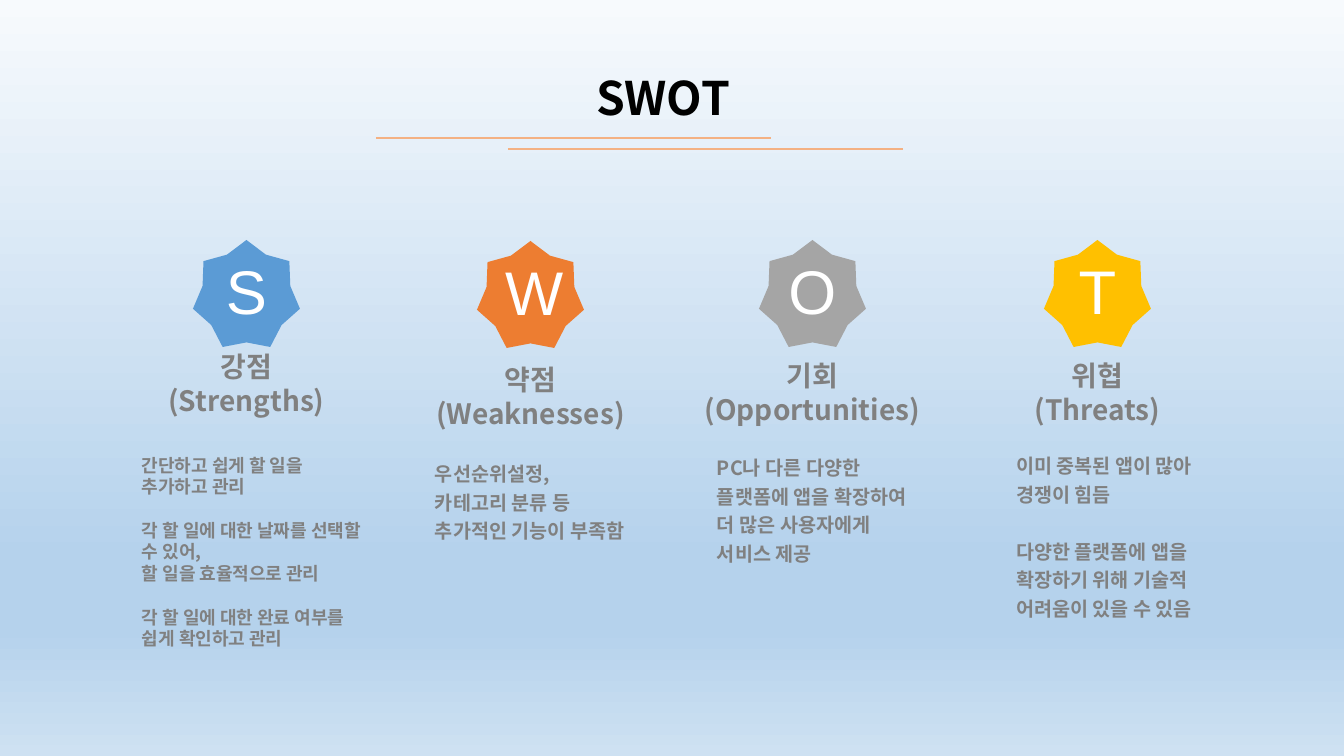
from lxml.etree import SubElement
from pptx import Presentation
from pptx.dml.color import RGBColor
from pptx.enum.shapes import MSO_CONNECTOR, MSO_SHAPE
from pptx.enum.text import MSO_ANCHOR, PP_ALIGN
from pptx.oxml.ns import qn
from pptx.util import Emu, Pt

KOREAN = "Noto Sans CJK KR"
GREY = "808080"
BACKGROUND = [(0, "F7FAFD"), (74, "B5D2EC"), (83, "B5D2EC"), (100, "CEE1F2")]
RULES = [(376, 138), (508, 149)]
RULE_LENGTH = 395
STAR_SIZE = 107
HEADING_WIDTH, HEADING_HEIGHT = 243, 32

# letter, colour, star (left, top), heading, heading top,
# body (left, top, width), body size, body line pitch, body blocks of paragraphs
COLUMNS = [
    ("S", "5B9BD5", (193, 240), ["강점", "(Strengths)"], 367,
     (142, 454, 230), 12.9, 15.5,
     [["간단하고 쉽게 할 일을 추가하고 관리"],
      ["각 할 일에 대한 날짜를 선택할 수 있어,", "할 일을 효율적으로 관리"],
      ["각 할 일에 대한 완료 여부를 쉽게 확인하고 관리"]]),
    ("W", "ED7D31", (477, 241), ["약점", "(Weaknesses)"], 380,
     (435, 457, 203), 14, 20.4,
     [["우선순위설정,", "카테고리 분류 등 추가적인 기능이 부족함"]]),
    ("O", "A5A5A5", (759, 240), ["기회", "(Opportunities)"], 376,
     (717, 451, 203), 14, 20.4,
     [["PC나 다른 다양한 플랫폼에 앱을 확장하여 더 많은 사용자에게 서비스 제공"]]),
    ("T", "FFC000", (1044, 240), ["위협", "(Threats)"], 376,
     (1016, 449, 203), 14, 20.4,
     [["이미 중복된 앱이 많아 경쟁이 힘듬"],
      ["다양한 플랫폼에 앱을 확장하기 위해 기술적", "어려움이 있을 수 있음"]]),
]


def px(n):
    return Emu(round(n * 914400 / 100.8))


def rgb(value):
    return RGBColor.from_string(value)


def style(p, size, color, name, bold=False, align=PP_ALIGN.LEFT):
    p.alignment = align
    f = p.font
    f.size, f.bold, f.name = Pt(size), bold, name
    f.color.rgb = rgb(color)
    defaults = p._p.pPr.find(qn("a:defRPr"))
    SubElement(defaults, qn("a:ea")).set("typeface", name)


def add_text(shapes, box, blocks, size, pitch, color=GREY, align=PP_ALIGN.LEFT,
             anchor=MSO_ANCHOR.TOP):
    """Write blocks of paragraphs, one line pitch apart from each other."""
    tf = shapes.add_textbox(*map(px, box)).text_frame
    tf.margin_left = tf.margin_top = tf.margin_right = tf.margin_bottom = 0
    tf.word_wrap, tf.vertical_anchor = True, anchor
    p = None
    for b, block in enumerate(blocks):
        for i, text in enumerate(block):
            p = tf.add_paragraph() if p else tf.paragraphs[0]
            p.text = text
            p.line_spacing = Pt(pitch)
            if b and not i:
                p.space_before = Pt(pitch)
            style(p, size, color, KOREAN, True, align)


def add_star(shapes, letter, color, left, top):
    star = shapes.add_shape(MSO_SHAPE.STAR_7_POINT, px(left), px(top),
                            px(STAR_SIZE), px(STAR_SIZE))
    star.adjustments[0] = 0.41
    star.shadow.inherit = False
    star.fill.solid()
    star.fill.fore_color.rgb = rgb(color)
    star.line.fill.background()
    tf = star.text_frame
    tf.vertical_anchor = MSO_ANCHOR.MIDDLE
    p = tf.paragraphs[0]
    p.text = letter
    style(p, 44, "FFFFFF", "Arial", align=PP_ALIGN.CENTER)


def set_background(s):
    fill = s.background.fill
    fill.gradient()
    fill.gradient_angle = 270
    stops = s.background._cSld.find(".//" + qn("a:gsLst"))
    for stop in list(stops):
        stops.remove(stop)
    for position, color in BACKGROUND:
        stop = SubElement(stops, qn("a:gs"), pos=str(position * 1000))
        SubElement(stop, qn("a:srgbClr"), val=color)


def main():
    prs = Presentation()
    prs.slide_width, prs.slide_height = px(1344), px(756)
    s = prs.slides.add_slide(prs.slide_layouts[6])
    set_background(s)

    add_text(s.shapes, (463, 69, 400, 57), [["SWOT"]], 33, 40, "000000",
             PP_ALIGN.CENTER)
    for left, y in RULES:
        rule = s.shapes.add_connector(MSO_CONNECTOR.STRAIGHT, px(left), px(y),
                                      px(left + RULE_LENGTH), px(y))
        rule.line.color.rgb = rgb("F4B183")
        rule.line.width = Pt(1.5)
        SubElement(rule._element.spPr, qn("a:effectLst"))

    for (letter, color, (star_left, star_top), heading, heading_top,
         (left, top, width), size, pitch, blocks) in COLUMNS:
        shapes = s.shapes.add_group_shape().shapes
        add_star(shapes, letter, color, star_left, star_top)
        add_text(shapes, (left, top, width, 190), blocks, size, pitch)
        heading_left = star_left + (STAR_SIZE - HEADING_WIDTH) // 2
        add_text(shapes,
                 (heading_left, heading_top, HEADING_WIDTH, HEADING_HEIGHT),
                 [heading], 20, 24.6, align=PP_ALIGN.CENTER,
                 anchor=MSO_ANCHOR.MIDDLE)

    prs.save("out.pptx")


if __name__ == "__main__":
    main()
